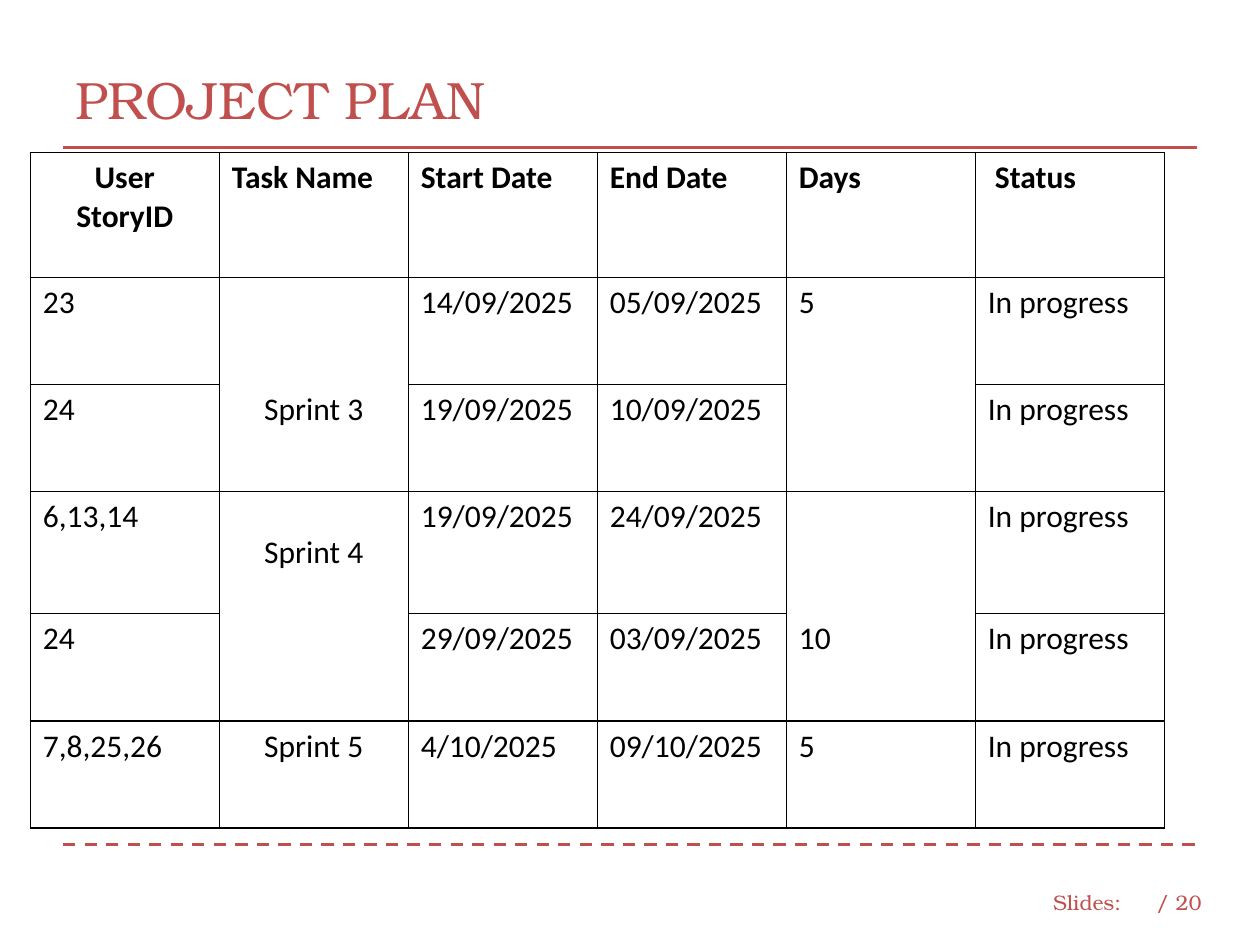
from lxml import etree
from pptx import Presentation
from pptx.dml.color import RGBColor
from pptx.enum import dml, shapes, text
from pptx.oxml import ns
from pptx.util import Cm, Pt

RED, BLACK = "C0504D", "000000"
SERIF, SANS = "TeX Gyre Bonum", "Calibri"
MID = text.PP_ALIGN.CENTER

HEADS = ["User\nStoryID", "Task Name", "Start Date", "End Date", "Days", " Status"]
TASKS = [
    ["23", "", "14/09/2025", "05/09/2025", "5", "In progress"],
    ["24", "Sprint 3", "19/09/2025", "10/09/2025", "", "In progress"],
    ["6,13,14", "Sprint 4", "19/09/2025", "24/09/2025", "", "In progress"],
    ["24", "", "29/09/2025", "03/09/2025", "10", "In progress"],
    ["7,8,25,26", "Sprint 5", "4/10/2025", "09/10/2025", "5", "In progress"],
]
HIGHS = [2.52, 2.16, 2.16, 2.46, 2.16, 2.16]
SPAN_COLS = (1, 4)
SPAN_TOPS = (1, 3)


def color(code):
    return RGBColor.from_string(code)


def write(frame, words, size=18, font=SANS, ink=BLACK, bold=False, align=None):
    for n, line in enumerate(words.split("\n")):
        para = frame.add_paragraph() if n else frame.paragraphs[0]
        para.alignment = align
        run = para.add_run()
        run.text = line
        run.font.size, run.font.name, run.font.bold = Pt(size), font, bold
        run.font.color.rgb = color(ink)


def label(slide, box, words, **style):
    frame = slide.shapes.add_textbox(*map(Cm, box)).text_frame
    frame.word_wrap = True
    frame.vertical_anchor = text.MSO_ANCHOR.MIDDLE
    write(frame, words, font=SERIF, ink=RED, **style)


def rule(slide, left, top, width, dash=None):
    line = slide.shapes.add_connector(
        shapes.MSO_CONNECTOR.STRAIGHT, Cm(left), Cm(top), Cm(left + width), Cm(top))
    line.line.color.rgb = color(RED)
    line.line.width = Pt(1.75)
    if dash:
        line.line.dash_style = dash
    etree.SubElement(line._element.spPr, ns.qn("a:effectLst"))


def border(cell, hidden):
    """Draw all four sides of the cell except the hidden ones."""
    props = cell._tc.get_or_add_tcPr()
    for side in "LRTB":
        edge = etree.SubElement(props, ns.qn("a:ln" + side), w=str(Pt(0.96)))
        if side in hidden:
            etree.SubElement(edge, ns.qn("a:noFill"))
        else:
            fill = etree.SubElement(edge, ns.qn("a:solidFill"))
            etree.SubElement(fill, ns.qn("a:srgbClr"), val=BLACK)


def header(slide, left, top, width):
    label(slide, (left, top, width, 2.31), "PROJECT PLAN", size=30)
    rule(slide, left, top + 2.13, width)


def plan(slide, left, top, width):
    rows = [HEADS] + TASKS
    grid = slide.shapes.add_table(
        len(rows), len(HEADS), Cm(left), Cm(top), Cm(width), Cm(sum(HIGHS))).table
    grid.first_row = grid.horz_banding = False
    for r, row in enumerate(rows):
        grid.rows[r].height = Cm(HIGHS[r])
        for c, words in enumerate(row):
            cell = grid.cell(r, c)
            hidden = ""
            if c in SPAN_COLS:
                hidden = "B" if r in SPAN_TOPS else "T" if r - 1 in SPAN_TOPS else ""
            border(cell, hidden)
            cell.fill.background()
            if words:
                center = c == 0 if r == 0 else c == 1
                write(cell.text_frame, words, bold=r == 0, align=MID if center else None)
    grid.cell(3, 1).margin_top = Cm(0.84)


def footer(slide, left, top, width):
    rule(slide, left, top, width, dash=dml.MSO_LINE.DASH)
    label(slide, (left + 19.71, top + 0.66, 1.91, 1.02), "Slides:", size=12)
    label(slide, (left + 21.79, top + 0.66, 1.45, 1.02), "/ 20", size=12)


def main():
    deck = Presentation()
    deck.slide_width, deck.slide_height = Cm(25.4), Cm(19.05)
    slide = deck.slides.add_slide(deck.slide_layouts[6])
    footer(slide, 1.27, 17.02, 22.86)
    header(slide, 1.27, 0.84, 22.86)
    plan(slide, 0.61, 3.07, 22.86)
    deck.save("out.pptx")


if __name__ == "__main__":
    main()
